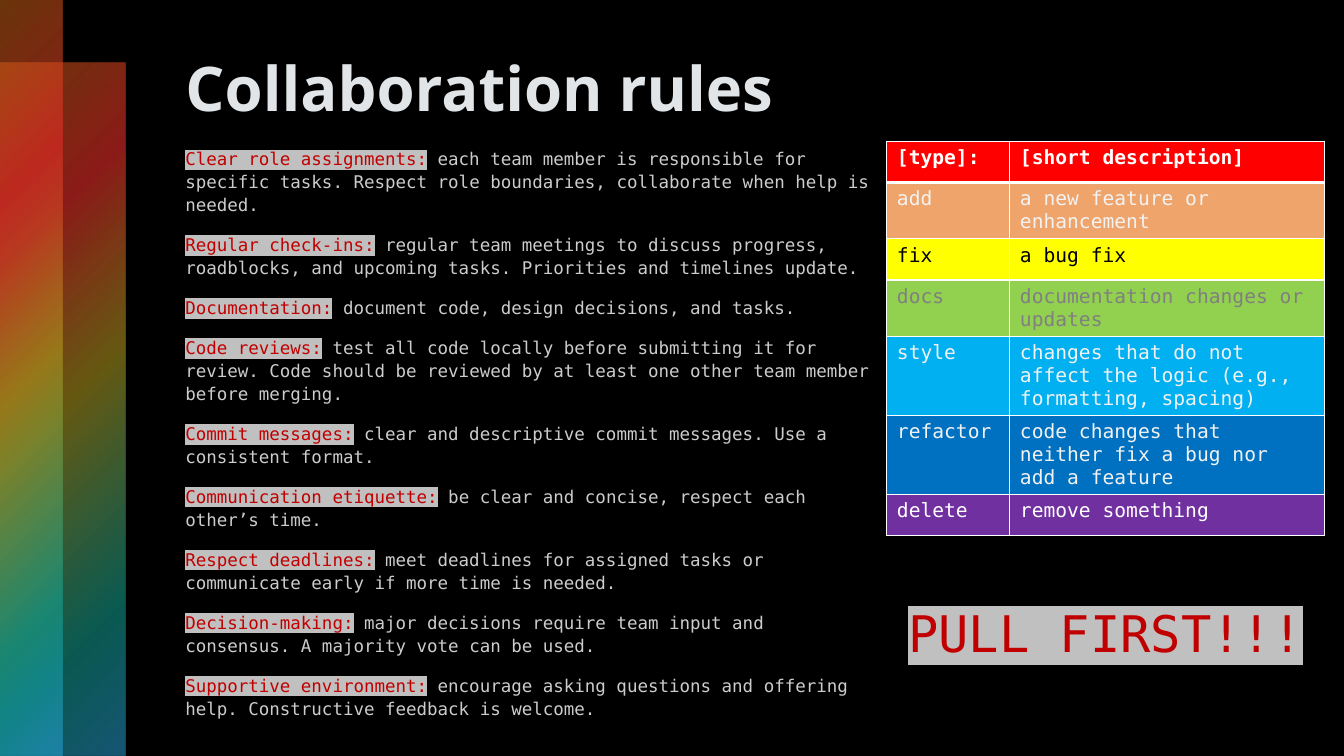
from lxml import etree
from pptx import Presentation
from pptx.dml.color import RGBColor
from pptx.enum.shapes import MSO_SHAPE
from pptx.enum.text import MSO_ANCHOR, MSO_AUTO_SIZE, PP_ALIGN
from pptx.oxml import parse_xml
from pptx.oxml.ns import nsdecls, qn
from pptx.util import Cm, Pt

RECT = MSO_SHAPE.RECTANGLE
TOP, NO_FIT = MSO_ANCHOR.TOP, MSO_AUTO_SIZE.NONE
LEFT, CENTER = PP_ALIGN.LEFT, PP_ALIGN.CENTER
TITLE_ONLY = 5

MONO, SANS = "DejaVu Sans Mono", "Open Sans"
BLACK, WHITE, PALE = "000000", "FFFFFF", "F2F2F2"
RED, SILVER, GREY = "C00000", "C0C0C0", "CCCCCC"

# Gradient stops: position %, colour, opacity %
RAINBOW = [(0, "D56A17", 50), (25, "E72D29", 60), (50, "B8A221", 55),
           (81, "14B4A3", 50), (99, "29ADE7", 50)]

RULES = [
    ("Clear role assignments:", "each team member is responsible for specific tasks. "
     "Respect role boundaries, collaborate when help is needed."),
    ("Regular check-ins:", "regular team meetings to discuss progress, roadblocks, "
     "and upcoming tasks. Priorities and timelines update."),
    ("Documentation:", "document code, design decisions, and tasks."),
    ("Code reviews:", "test all code locally before submitting it for review. "
     "Code should be reviewed by at least one other team member before merging."),
    ("Commit messages:", "clear and descriptive commit messages. Use a consistent format."),
    ("Communication etiquette:", "be clear and concise, respect each other’s time."),
    ("Respect deadlines:", "meet deadlines for assigned tasks or communicate early "
     "if more time is needed."),
    ("Decision-making:", "major decisions require team input and consensus. "
     "A majority vote can be used."),
    ("Supportive environment:", "encourage asking questions and offering help. "
     "Constructive feedback is welcome."),
]

# Commit types: type, description, fill, text colour
COMMIT_TYPES = [
    ("[type]:", "[short description]", "FF0000", WHITE),
    ("add", "a new feature or enhancement", "EFA46B", PALE),
    ("fix", "a bug fix", "FFFF00", BLACK),
    ("docs", "documentation changes or updates", "92D050", "808080"),
    ("style", "changes that do not affect the logic (e.g., formatting, spacing)",
     "00B0F0", PALE),
    ("refactor", "code changes that neither fix a bug nor add a feature", "0070C0", PALE),
    ("delete", "remove something", "7030A0", WHITE),
]


def rgb(color):
    return RGBColor.from_string(color)


def set_attrs(obj, **values):
    for name, value in values.items():
        setattr(obj, name, value)


def add_run(p, text, size, color, font=MONO, bold=False, highlight=None):
    r = p.add_run()
    r.text = text
    set_attrs(r.font, size=Pt(size), name=font, bold=bold)
    r.font.color.rgb = rgb(color)
    if highlight:
        mark = parse_xml(f'<a:highlight {nsdecls("a")}><a:srgbClr val="{highlight}"/></a:highlight>')
        r._r.rPr.find(qn("a:latin")).addprevious(mark)


def add_text_box(slide, *box):
    tf = slide.shapes.add_textbox(*map(Cm, box)).text_frame
    set_attrs(tf, word_wrap=True, vertical_anchor=TOP, auto_size=NO_FIT)
    return tf


def add_rainbow_bar(slide, *box):
    sp = slide.shapes.add_shape(RECT, *map(Cm, box))
    sp.shadow.inherit = False
    sp.line.fill.background()
    stops = "".join(
        f'<a:gs pos="{pos * 1000}"><a:srgbClr val="{color}">'
        f'<a:alpha val="{alpha * 1000}"/></a:srgbClr></a:gs>'
        for pos, color, alpha in RAINBOW)
    grad = parse_xml(
        f'<a:gradFill {nsdecls("a")} rotWithShape="1"><a:gsLst>{stops}</a:gsLst>'
        '<a:path path="circle"><a:fillToRect r="100000" b="100000"/></a:path></a:gradFill>')
    sp._element.spPr.find(qn("a:prstGeom")).addnext(grad)


def set_borders(cell, **widths):
    tcPr = cell._tc.get_or_add_tcPr()
    for i, side in enumerate("LRTB"):
        ln = etree.Element(qn(f"a:ln{side}"), w=str(Pt(widths.get(side, 1))))
        fill = etree.SubElement(ln, qn("a:solidFill"))
        etree.SubElement(fill, qn("a:srgbClr"), val=WHITE)
        tcPr.insert(i, ln)


def add_title(slide, text):
    title = slide.shapes.title
    set_attrs(title, left=Cm(4.42), top=Cm(1.27), width=Cm(27), height=Cm(2.49))
    tf = title.text_frame
    set_attrs(tf, vertical_anchor=TOP, auto_size=NO_FIT, margin_top=0)
    p = tf.paragraphs[0]
    p.alignment = LEFT
    add_run(p, text, 44, "E2E5E8", SANS, bold=True)


def add_rules(slide):
    tf = add_text_box(slide, 4.42, 3.56, 17.93, 14.6)
    for i, (name, rule) in enumerate(RULES):
        p = tf.add_paragraph() if i else tf.paragraphs[0]
        set_attrs(p, line_spacing=1.1, space_before=Pt(12 if i else 0))
        add_run(p, name, 12.5, RED, highlight=SILVER)
        add_run(p, " " + rule, 12.5, GREY)


def add_commit_table(slide):
    row_height, widths = 1.04, (3.1, 7.92)
    rows = len(COMMIT_TYPES)
    table = slide.shapes.add_table(rows, 2, Cm(22.35), Cm(3.56), Cm(sum(widths)),
                                   Cm(row_height * rows)).table
    for column, width in zip(table.columns, widths):
        column.width = Cm(width)
    for i, (*texts, fill, color) in enumerate(COMMIT_TYPES):
        table.rows[i].height = Cm(row_height)
        for cell, text in zip(table.rows[i].cells, texts):
            cell.fill.solid()
            cell.fill.fore_color.rgb = rgb(fill)
            add_run(cell.text_frame.paragraphs[0], text, 14, color, bold=i == 0)
            # Thick line between the header and the first row
            set_borders(cell, T=3 if i == 1 else 1, B=3 if i == 0 else 1)


def add_reminder(slide, text):
    p = add_text_box(slide, 22.35, 15.06, 11.02, 1.8).paragraphs[0]
    p.alignment = CENTER
    add_run(p, text, 36, RED, highlight=SILVER)


def main():
    prs = Presentation()
    set_attrs(prs, slide_width=Cm(33.87), slide_height=Cm(19.05))
    slide = prs.slides.add_slide(prs.slide_layouts[TITLE_ONLY])
    slide.background.fill.solid()
    slide.background.fill.fore_color.rgb = rgb(BLACK)

    # Overlapping bars on the left edge
    add_rainbow_bar(slide, 0, 1.57, 3.16, 17.48)
    add_rainbow_bar(slide, 0, 0, 1.58, 19.05)

    # Content
    add_title(slide, "Collaboration rules")
    add_rules(slide)
    add_commit_table(slide)
    add_reminder(slide, "PULL FIRST!!!")
    prs.save("out.pptx")


if __name__ == "__main__":
    main()
